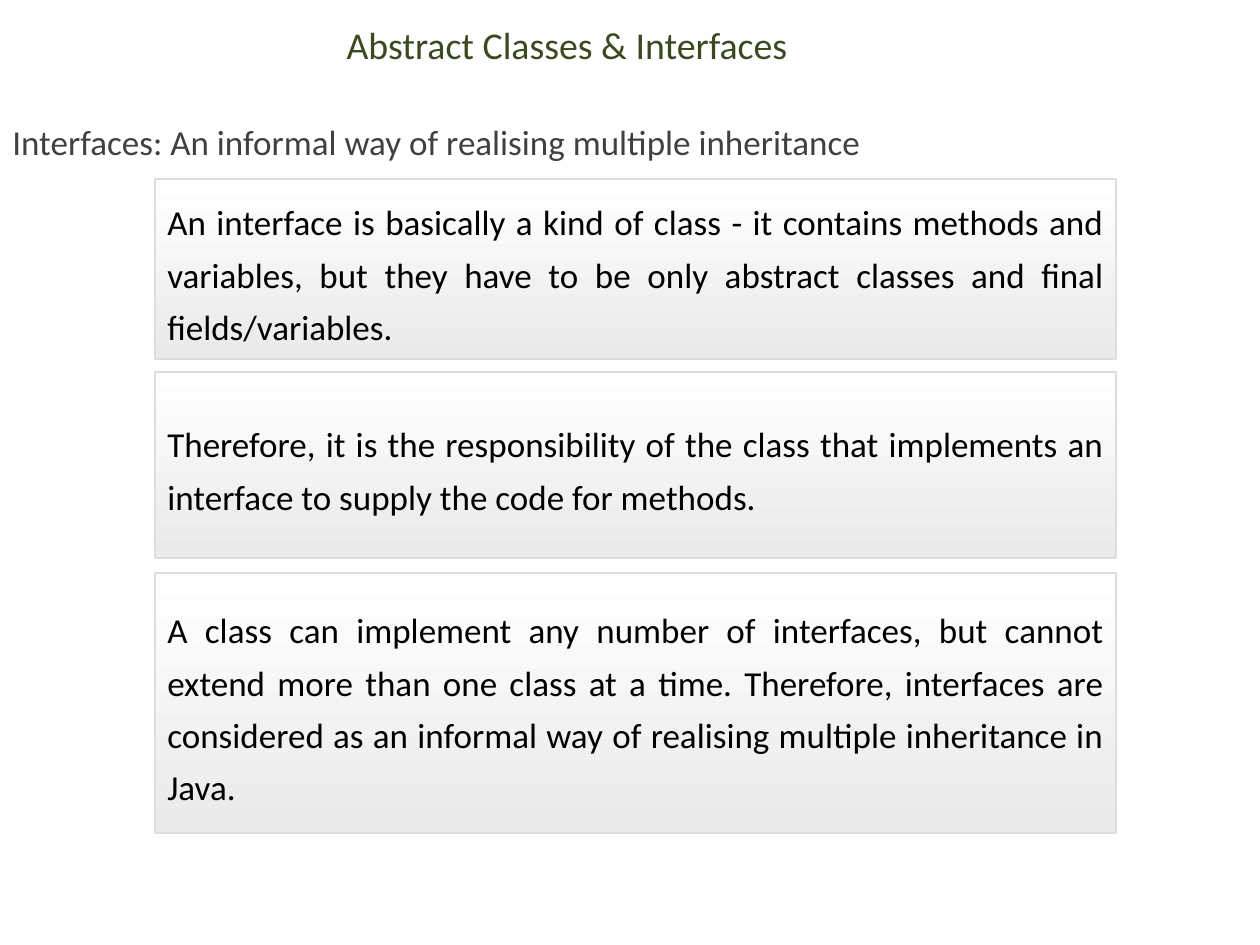
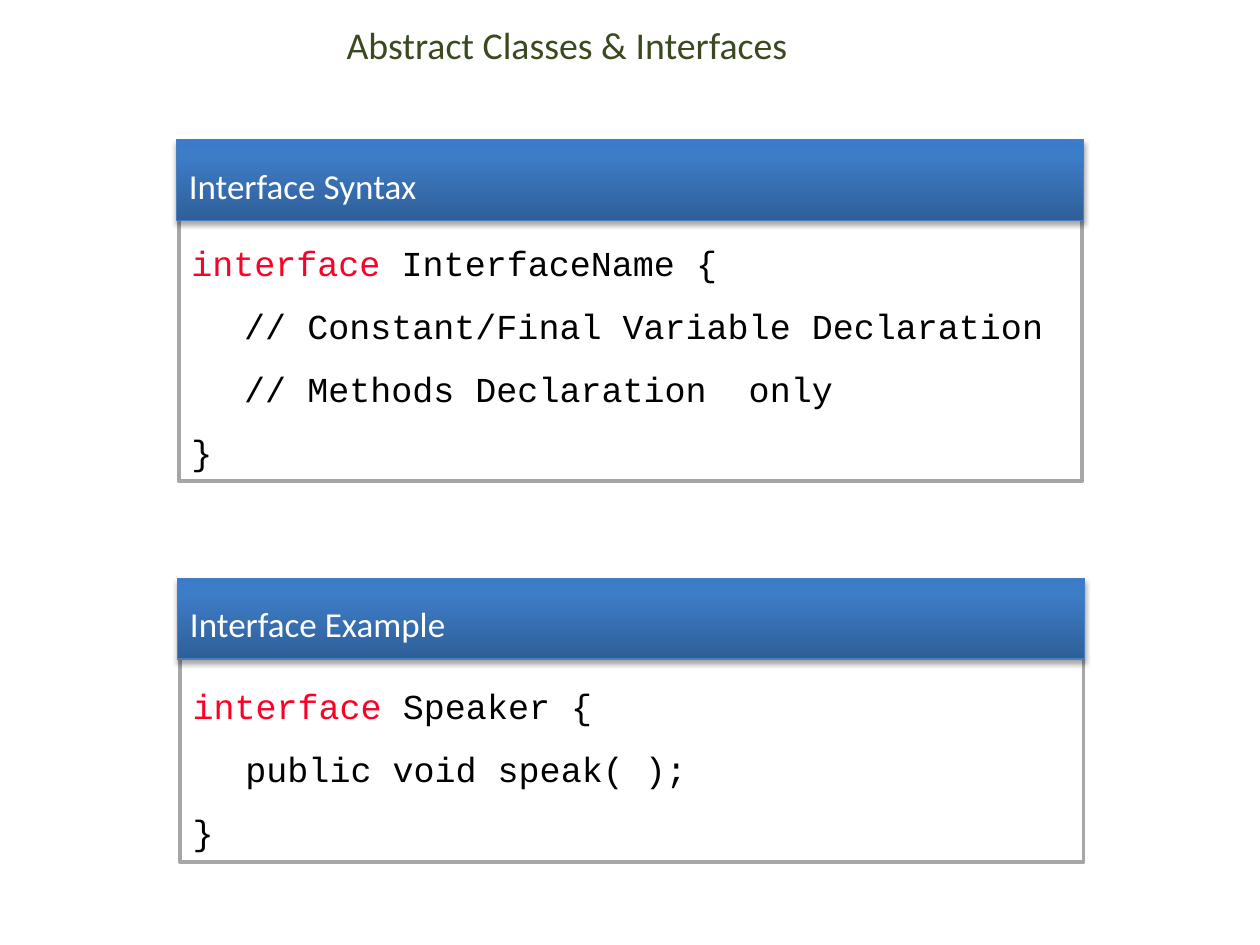
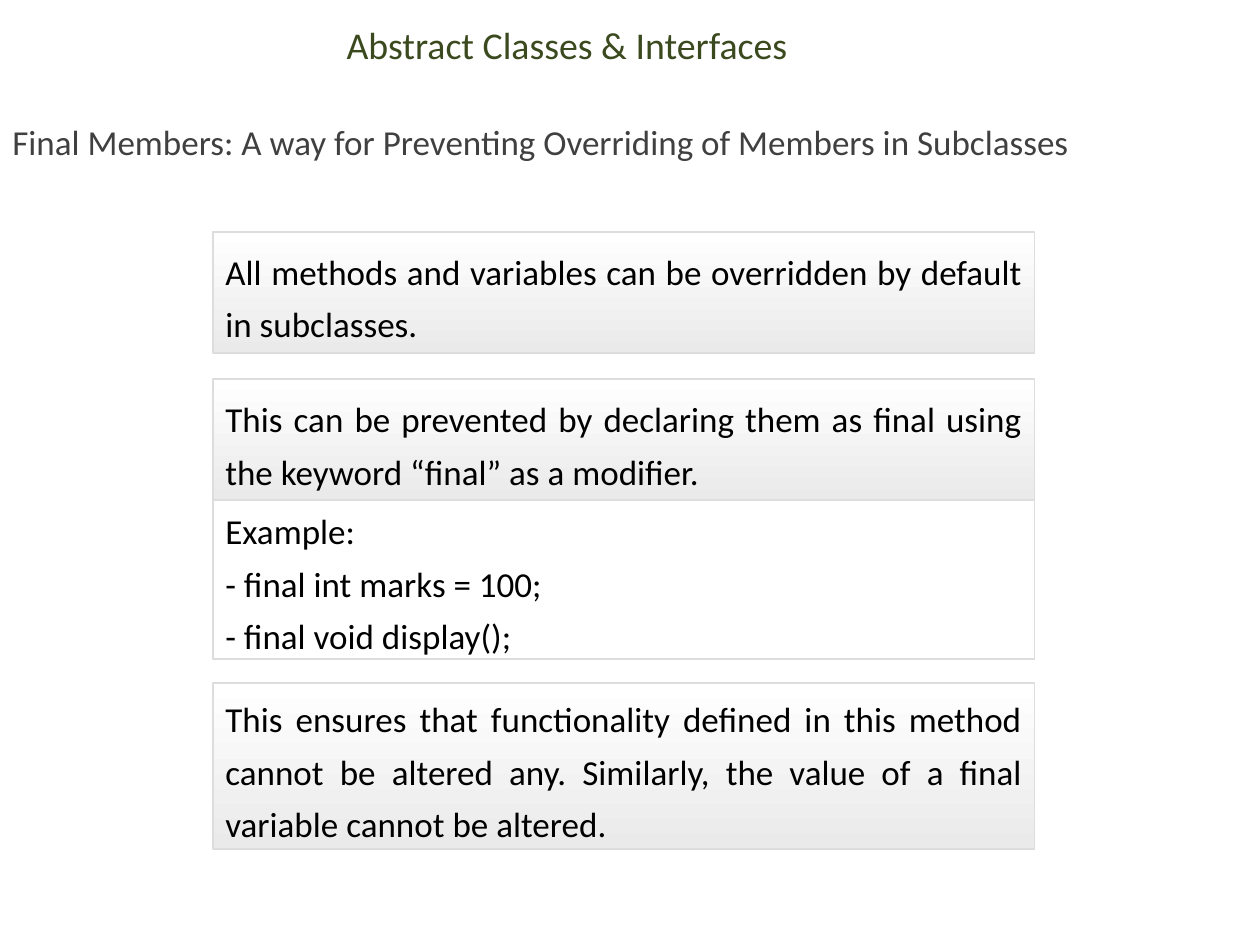
"""Build three slides on abstract classes and interfaces."""
from lxml.etree import SubElement
from pptx import Presentation
from pptx.dml.color import RGBColor
from pptx.enum.shapes import MSO_SHAPE as SHAPE
from pptx.enum.text import MSO_ANCHOR as ANCHOR, MSO_AUTO_SIZE as AUTO, PP_ALIGN as ALIGN
from pptx.oxml.ns import qn
from pptx.util import Emu, Inches, Pt

TITLE = "Abstract Classes & Interfaces"
BLACK, KEYWORD, HEADING, SUBTITLE = "000000", "FC0128", "3B4A1E", "404040"
NOTE_GRADIENT = [(0, "FFFFFF"), (100, "EAEAEA")]
HEADER_GRADIENT = [(0, "2F5F99"), (80, "3D7CC7"), (100, "3A7CCB")]
NOTE_LINE, HEADER_LINE, CODE_LINE = ("DDDDDD", 1), ("4B7EBC", 0.75), ("A6A6A6", 2.25)
CODE_INDENT, HEADER_HEIGHT = 0.42, 0.64

INTERFACES = {
    "subtitle": ("Interfaces: An informal way of realising multiple inheritance", 10, 0.61),
    "left": 1.23, "width": 7.63,
    "notes": [
        (1.42, 1.43, "An interface is basically a kind of class - it contains methods and variables, "
                     "but they have to be only abstract classes and final fields/variables."),
        (2.95, 1.48, "Therefore, it is the responsibility of the class that implements an interface "
                     "to supply the code for methods."),
        (4.55, 2.06, "A class can implement any number of interfaces, but cannot extend more than one "
                     "class at a time. Therefore, interfaces are considered as an informal way of "
                     "realising multiple inheritance in Java."),
    ],
}
FINAL_MEMBERS = {
    "subtitle": ("Final Members: A way for Preventing Overriding of Members in Subclasses", 9.76, 1.04),
    "left": 1.69, "width": 6.52,
    "example": (3.94, 1.29, ["Example:", "- final int marks = 100;", "- final void display();"]),
    "notes": [
        (1.84, 0.96, "All methods and variables can be overridden by default in subclasses."),
        (3.01, 0.96, "This can be prevented by declaring them as final using the keyword “final” "
                     "as a modifier."),
        (5.42, 1.32, "This ensures that functionality defined in this method cannot be altered any. "
                     "Similarly, the value of a final variable cannot be altered."),
    ],
}
CODE_PANELS = [
    ("Interface Syntax", 1.4, 1.11, 1.7, 2.12, "InterfaceName {",
     ["// Constant/Final Variable Declaration", "// Methods Declaration  only"]),
    ("Interface Example", 1.41, 4.59, 5.22, 1.62, "Speaker {", ["public void speak( );"]),
]


def rgb(value):
    return RGBColor.from_string(value)


def apply(obj, formats):
    for name, value in formats.items():
        setattr(obj, name, value)


def write(tf, lines, color=BLACK, font="Calibri", size=20, **formats):
    """Write lines of text, each a list of (text, colour) runs or one string."""
    for i, line in enumerate(lines):
        p = tf.paragraphs[0] if i == 0 else tf.add_paragraph()
        apply(p, formats)
        for text, run_color in [(line, color)] if isinstance(line, str) else line:
            r = p.add_run()
            r.text = text
            apply(r.font, {"name": font, "size": Pt(size)})
            r.font.color.rgb = rgb(run_color)


def add_box(s, at, line, gradient=None, angle=270, margins=(0.1, 0.1, 0.1, 0.1), anchor=ANCHOR.MIDDLE):
    sp = s.shapes.add_shape(SHAPE.RECTANGLE, *map(Inches, at))
    sp.shadow.inherit = False
    if gradient:
        sp.fill.gradient()
        sp.fill.gradient_angle = angle
        stops = sp._element.spPr.find(".//" + qn("a:gsLst"))
        stops.clear()
        for position, color in gradient:
            stop = SubElement(stops, qn("a:gs"), pos=str(position * 1000))
            SubElement(stop, qn("a:srgbClr"), val=color)
    else:
        sp.fill.background()
    color, width = line
    sp.line.color.rgb = rgb(color)
    sp.line.width = Pt(width)
    names = ("margin_left", "margin_top", "margin_right", "margin_bottom")
    apply(sp.text_frame, {"word_wrap": True, "vertical_anchor": anchor,
                          **dict(zip(names, map(Inches, margins)))})
    return sp


def add_shadow(sp):
    effects = sp._element.spPr.find(qn("a:effectLst"))
    shadow = SubElement(effects, qn("a:outerShdw"), blurRad=str(Pt(3.1)), dist=str(Pt(1.8)),
                        dir="5400000", rotWithShape="0")
    color = SubElement(shadow, qn("a:srgbClr"), val=BLACK)
    SubElement(color, qn("a:alpha"), val="35000")


def add_titled_slide(prs):
    s = prs.slides.add_slide(prs.slide_layouts[5])
    title = s.shapes.title
    apply(title, {"left": Emu(0), "top": Inches(0.14), "width": Inches(9), "height": Inches(0.43)})
    apply(title.text_frame, {"word_wrap": True, "auto_size": AUTO.NONE, "vertical_anchor": ANCHOR.MIDDLE})
    write(title.text_frame, [TITLE], HEADING, size=21.6, alignment=ALIGN.CENTER)
    return s


def add_notes_slide(prs, content):
    s = add_titled_slide(prs)
    left, width = content["left"], content["width"]
    if "example" in content:
        top, height, lines = content["example"]
        sp = add_box(s, (left, top, width, height), NOTE_LINE)
        write(sp.text_frame, lines, alignment=ALIGN.LEFT, line_spacing=Pt(30))
    text, text_width, text_height = content["subtitle"]
    tf = s.shapes.add_textbox(0, *map(Inches, (0.74, text_width, text_height))).text_frame
    apply(tf, {"word_wrap": True, "auto_size": AUTO.SHAPE_TO_FIT_TEXT})
    write(tf, [text], SUBTITLE, line_spacing=1.5)
    for top, height, note in content["notes"]:
        sp = add_box(s, (left, top, width, height), NOTE_LINE, NOTE_GRADIENT)
        write(sp.text_frame, [note], alignment=ALIGN.JUSTIFY, line_spacing=Pt(30))


def add_code_slide(prs):
    s = add_titled_slide(prs)
    for header, left, header_top, top, height, name, body in CODE_PANELS:
        sp = add_box(s, (left + 0.02, top, 7.17, height), CODE_LINE,
                     margins=(0.1, 0.05, 0.1, 0.05), anchor=ANCHOR.TOP)
        sp.text_frame.auto_size = AUTO.SHAPE_TO_FIT_TEXT
        write(sp.text_frame, [[("interface ", KEYWORD), (name, BLACK)], *body, "}"],
              font="Courier New", alignment=ALIGN.LEFT, line_spacing=1.5)
        for p in sp.text_frame.paragraphs[1:-1]:
            p._p.get_or_add_pPr().set("marL", str(Inches(CODE_INDENT)))
        sp = add_box(s, (left, header_top, 7.2, HEADER_HEIGHT), HEADER_LINE, HEADER_GRADIENT,
                     angle=90, margins=(0.1, 0.1, 0, 0.1))
        add_shadow(sp)
        write(sp.text_frame, [header], "FFFFFF", alignment=ALIGN.LEFT, line_spacing=Pt(30))


def main():
    prs = Presentation()
    apply(prs, {"slide_width": Inches(10), "slide_height": Inches(7.5)})
    add_notes_slide(prs, INTERFACES)
    add_code_slide(prs)
    add_notes_slide(prs, FINAL_MEMBERS)
    prs.save("out.pptx")


if __name__ == "__main__":
    main()
